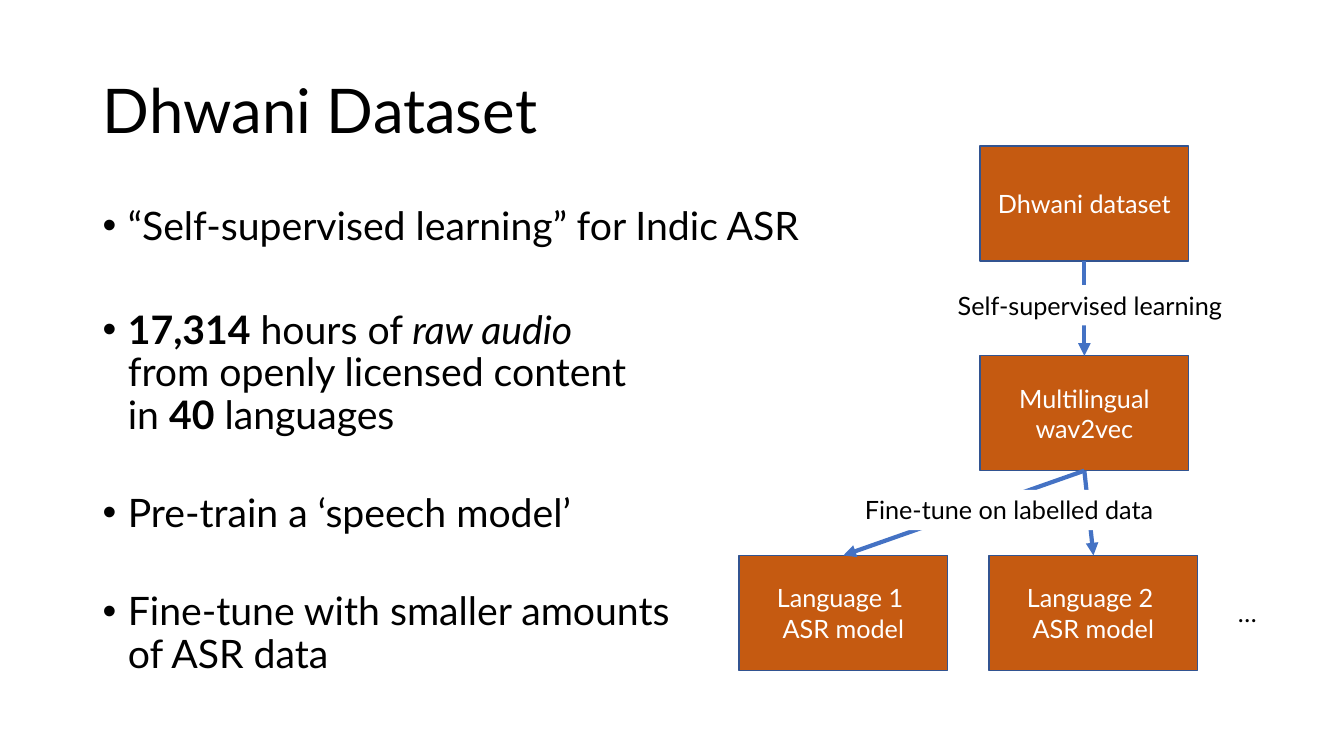
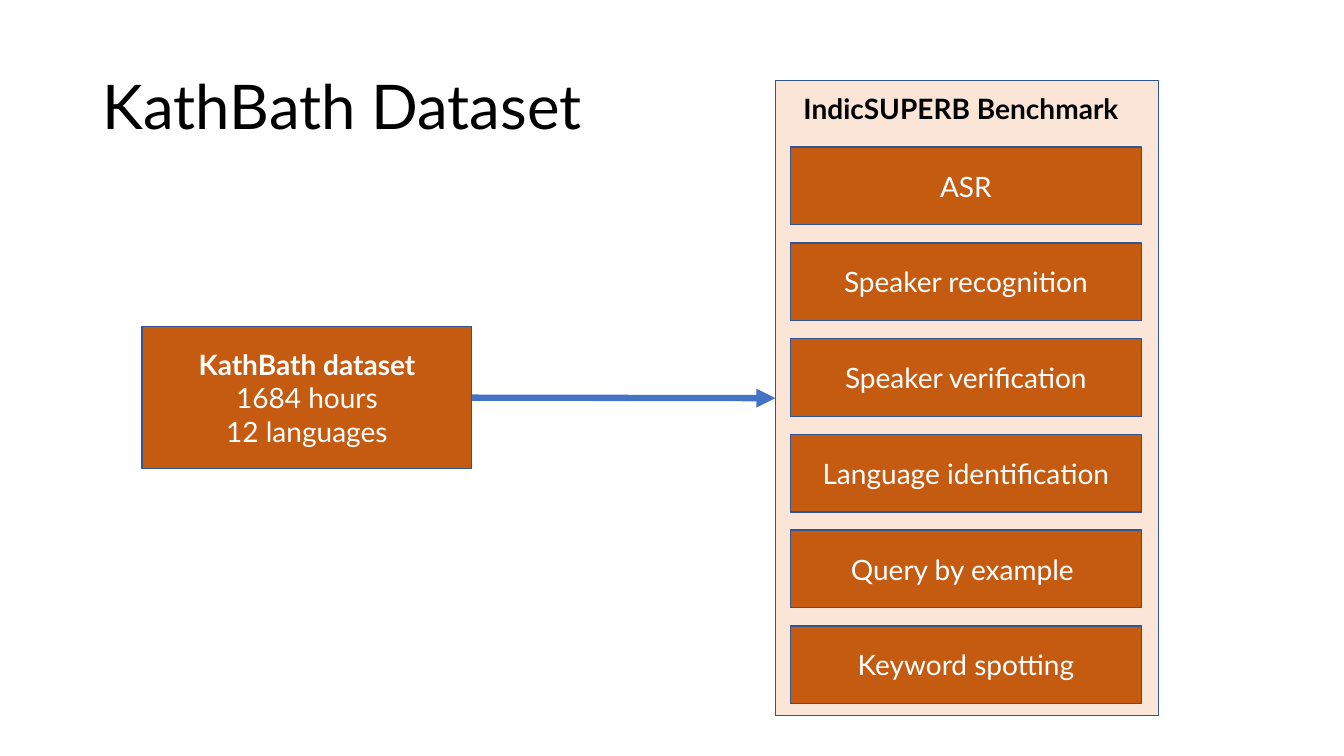
from lxml.etree import SubElement
from pptx import Presentation
from pptx.dml.color import RGBColor
from pptx.enum.shapes import MSO_CONNECTOR, MSO_SHAPE
from pptx.enum.text import MSO_ANCHOR, MSO_AUTO_SIZE, PP_ALIGN
from pptx.oxml.ns import qn
from pptx.util import Inches, Pt

# Shared style
FONT = "Lato"
BLACK, WHITE = "000000", "FFFFFF"
ORANGE, PEACH = "C55A11", "FBE5D6"
OUTLINE, ARROW = "325491", "4472C4"
BOLD, ITALIC = {"bold": True}, {"italic": True}
BOTTOM, TOP, LEFT, RIGHT = 2, 0, 1, 3
color = RGBColor.from_string


def add_box(slide, place, paragraphs, size=18, fill=ORANGE, outlined=True, wrap=True):
    """Outlined boxes hold centred white text, the others left-aligned black text.

    Each paragraph is a list of (text, font attributes); "\\n" breaks the line."""
    lengths = [Inches(value) for value in place]
    if outlined:
        box = slide.shapes.add_shape(MSO_SHAPE.RECTANGLE, *lengths)
        box.line.color.rgb = color(OUTLINE)
        box.line.width = Pt(1)
        box.shadow.inherit = False
    else:
        box = slide.shapes.add_textbox(*lengths)
    if fill:
        box.fill.solid()
        box.fill.fore_color.rgb = color(fill)
    frame = box.text_frame
    frame.word_wrap = wrap
    frame.auto_size = MSO_AUTO_SIZE.NONE if wrap else MSO_AUTO_SIZE.SHAPE_TO_FIT_TEXT
    frame.vertical_anchor = MSO_ANCHOR.MIDDLE if outlined else MSO_ANCHOR.TOP
    for number, pieces in enumerate(paragraphs):
        paragraph = frame.add_paragraph() if number else frame.paragraphs[0]
        paragraph.alignment = PP_ALIGN.CENTER if outlined else PP_ALIGN.LEFT
        for text, formats in pieces:
            for line_number, line in enumerate(text.split("\n")):
                if line_number:
                    paragraph.add_line_break()
                if not line:
                    continue
                run = paragraph.add_run()
                run.text = line
                run.font.name, run.font.size = FONT, Pt(size)
                run.font.color.rgb = color(WHITE if outlined else BLACK)
                for name, value in formats.items():
                    setattr(run.font, name, value)
    return box


def add_arrow(slide, start, start_side, end, end_side, width):
    arrow = slide.shapes.add_connector(MSO_CONNECTOR.STRAIGHT, 0, 0, 0, 0)
    arrow.begin_connect(start, start_side)
    arrow.end_connect(end, end_side)
    arrow.line.color.rgb = color(ARROW)
    arrow.line.width = Pt(width)
    SubElement(arrow.line._get_or_add_ln(), qn("a:tailEnd"), type="triangle")
    SubElement(arrow._element.spPr, qn("a:effectLst"))


deck = Presentation()
deck.slide_width, deck.slide_height = Inches(13.33), Inches(7.5)

# Slides and titles
slides = []
for heading, top in [("Dhwani Dataset", 0.4), ("KathBath Dataset", 0.36)]:
    slide = deck.slides.add_slide(deck.slide_layouts[5])
    title = slide.shapes.title
    title.left, title.top = Inches(0.92), Inches(top)
    title.width, title.height = Inches(11.5), Inches(1.45)
    title.text_frame.text = heading
    title.text_frame.vertical_anchor = MSO_ANCHOR.MIDDLE
    title.text_frame.auto_size = MSO_AUTO_SIZE.NONE
    paragraph = title.text_frame.paragraphs[0]
    paragraph.alignment, paragraph.line_spacing = PP_ALIGN.LEFT, 0.9
    paragraph.font.name, paragraph.font.size = FONT, Pt(44)
    paragraph.font.color.rgb = color(BLACK)
    slides.append(slide)
dhwani, kathbath = slides

# Dhwani: bullet points
points = add_box(dhwani, (0.92, 2, 7.2, 4.76), [
    [("“Self-supervised learning” for Indic ASR", {})],
    [("17,314", BOLD), (" hours of ", {}), ("raw audio", ITALIC),
     ("\nfrom openly licensed content\nin ", {}), ("40", BOLD), (" languages", {})],
    [("Pre-train a ‘speech model’", {})],
    [("Fine-tune with smaller amounts\nof ASR data", {})],
], size=28, fill=None, outlined=False)
for paragraph, gap in zip(points.text_frame.paragraphs, (0, 44, 40, 40)):
    paragraph.line_spacing, paragraph.space_before = 0.9, Pt(gap)
    properties = paragraph._p.get_or_add_pPr()
    properties.set("marL", str(Inches(0.25)))
    properties.set("indent", str(-Inches(0.25)))
    SubElement(properties, qn("a:buFont"), typeface="Arial")
    SubElement(properties, qn("a:buChar"), char="•")

# Dhwani: training steps
dataset, wav2vec, language_1, language_2 = [
    add_box(dhwani, (left, top, 2.07, 1.14), [[(text, {})]])
    for left, top, text in [
        (9.72, 1.45, "Dhwani dataset"),
        (9.72, 3.53, "Multilingual wav2vec"),
        (7.33, 5.51, "Language 1 \nASR model"),
        (9.81, 5.51, "Language 2 \nASR model"),
    ]
]
for start, end in [(dataset, wav2vec), (wav2vec, language_1), (wav2vec, language_2)]:
    add_arrow(dhwani, start, BOTTOM, end, TOP, 3)
for left, top, width, text in [
    (9.4, 2.83, 2.88, "Self-supervised learning"),
    (8.48, 4.86, 3.12, "Fine-tune on labelled data"),
    (12.18, 5.88, 0.39, "…"),
]:
    add_box(dhwani, (left, top, width, 0.4), [[(text, {})]],
            fill=WHITE, outlined=False, wrap=False)

# KathBath: benchmark panel and its tasks
benchmark = add_box(kathbath, (7.69, 0.8, 3.8, 6.3), [], fill=PEACH)
add_box(kathbath, (7.87, 0.86, 3.45, 0.44), [[("IndicSUPERB Benchmark", BOLD)]],
        size=20, fill=None, outlined=False, wrap=False)
tasks = ["ASR", "Speaker recognition", "Speaker verification",
         "Language identification", "Query by example ", "Keyword spotting"]
for row, task in enumerate(tasks):
    add_box(kathbath, (7.84, 1.46 + 0.95 * row, 3.48, 0.77), [[(task, {})]], size=20)

# KathBath: dataset feeding the benchmark
corpus = add_box(kathbath, (1.41, 3.24, 3.27, 1.41), [
    [("KathBath dataset", BOLD)],
    [("1684 hours\n12 languages", {})],
], size=20)
add_arrow(kathbath, corpus, RIGHT, benchmark, LEFT, 4.5)

deck.save("out.pptx")
